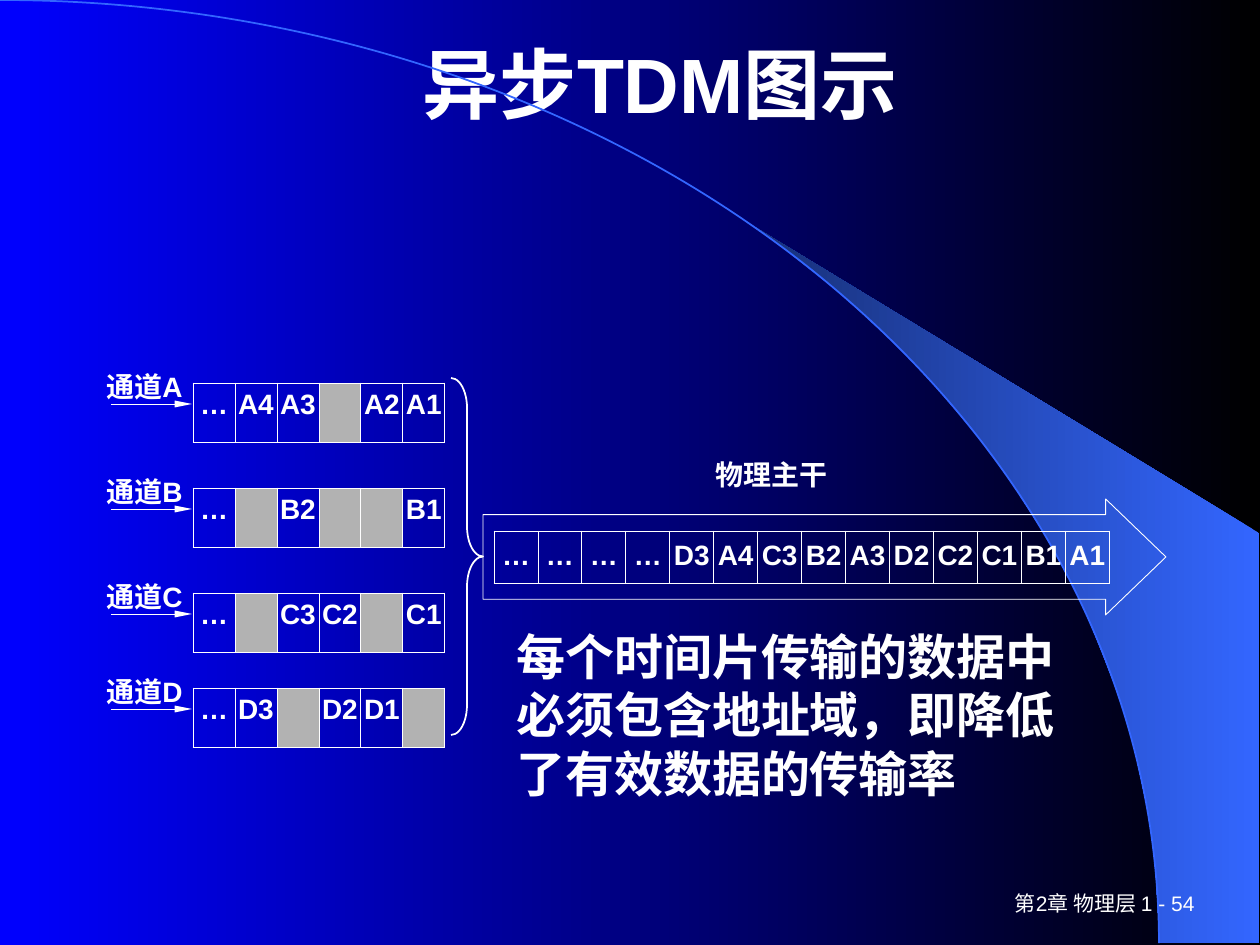
from dataclasses import dataclass
from math import cos, radians, sin
from typing import NamedTuple

from pptx import Presentation
from pptx import util as u
from pptx.dml.color import RGBColor
from pptx.enum import shapes, text
from pptx.oxml import parse_xml
from pptx.oxml.ns import nsdecls

PX = 914400 / 126  # EMU per pixel


@dataclass(frozen=True)
class Theme:
    font: str = "Arial"
    white: str = "FFFFFF"
    gray: str = "B2B2B2"
    black: str = "000000"
    blue: str = "0000FF"
    sweep: str = "3366FF"
    sweep_dark: str = "172F75"
    title: int = 44
    note: int = 28
    label: int = 16
    footer: int = 12
    thin: float = 0.5
    thick: float = 1


class Box(NamedTuple):
    x: int
    y: int
    w: int
    h: int


class Channel(NamedTuple):
    name: str
    y: int
    slots: list[str]


T = Theme()
ALIGN, ANCHOR = text.PP_ALIGN, text.MSO_ANCHOR

CHANNELS = [
    Channel("A", 383, ["…", "A4", "A3", "", "A2", "A1"]),
    Channel("B", 488, ["…", "", "B2", "", "", "B1"]),
    Channel("C", 593, ["…", "", "C3", "C2", "", "C1"]),
    Channel("D", 688, ["…", "D3", "", "D2", "D1", ""]),
]
TRUNK = ["…"] * 4 + "D3 A4 C3 B2 A3 D2 C2 C1 B1 A1".split()


def emu(*lengths: float) -> list[u.Emu]:
    return [u.Emu(round(n * PX)) for n in lengths]


def rgb(color: str) -> RGBColor:
    return RGBColor.from_string(color)


def set_attrs(target, **values) -> None:
    for name, value in values.items():
        setattr(target, name, value)


def paint_gradient(fill, start: str, end: str) -> None:
    fill.gradient()
    fill.gradient_angle = 180
    for stop, color in zip(fill.gradient_stops, (start, end)):
        stop.color.rgb = rgb(color)


def style_line(line, color: str, width: float) -> None:
    line.color.rgb = rgb(color)
    line.width = u.Pt(width)


def write(tf, words: str, size: int, align=ALIGN.LEFT, bold: bool = True, spacing=None) -> None:
    p = tf.paragraphs[0]
    set_attrs(p, alignment=align, line_spacing=spacing)
    r = p.add_run()
    r.text = words
    set_attrs(r.font, name=T.font, size=u.Pt(size), bold=bold)
    r.font.color.rgb = rgb(T.white)


def add_text(s, box: Box, words: str, size: int, align=ALIGN.LEFT,
             bold: bool = True, anchor=ANCHOR.TOP):
    tf = s.shapes.add_textbox(*emu(*box)).text_frame
    set_attrs(tf, word_wrap=True, vertical_anchor=anchor)
    write(tf, words, size, align, bold)
    return tf


def add_outline(s, kind, box: Box, color: str, width: float, adjustments=()) -> None:
    sp = s.shapes.add_shape(kind, *emu(*box))
    sp.shadow.inherit = False
    sp.fill.background()
    style_line(sp.line, color, width)
    for i, value in enumerate(adjustments):
        sp.adjustments[i] = value


def add_arrow(s, x1: int, x2: int, y: int) -> None:
    line = s.shapes.add_connector(shapes.MSO_CONNECTOR.STRAIGHT, *emu(x1, y, x2, y))
    style_line(line.line, T.white, T.thin)
    line.line._get_or_add_ln().append(
        parse_xml(f'<a:tailEnd {nsdecls("a")} type="triangle" w="sm" len="lg"/>'))
    line._element.spPr.append(parse_xml(f'<a:effectLst {nsdecls("a")}/>'))


def add_borders(cell) -> None:
    for side in ("lnL", "lnR", "lnT", "lnB"):
        cell._tc.get_or_add_tcPr().append(parse_xml(
            f'<a:{side} {nsdecls("a")} w="{u.Pt(T.thin)}"><a:solidFill>'
            f'<a:srgbClr val="{T.white}"/></a:solidFill></a:{side}>'))


def add_slots(s, box: Box, slots: list[str], spacing=None) -> None:
    """One row of time slots; an empty slot is gray."""
    table = s.shapes.add_table(1, len(slots), *emu(*box)).table
    set_attrs(table, first_row=False, horz_banding=False)
    for col, cell, words in zip(table.columns, table.rows[0].cells, slots):
        col.width = emu(box.w / len(slots))[0]
        set_attrs(cell, margin_left=u.Inches(0.02), margin_right=u.Inches(0.02))
        add_borders(cell)
        if words:
            cell.fill.background()
            write(cell.text_frame, words, T.label, ALIGN.CENTER, spacing=spacing)
        else:
            cell.fill.solid()
            cell.fill.fore_color.rgb = rgb(T.gray)


def add_backdrop(s) -> None:
    """Gradient, the large quarter ellipse and the wedge that touches it."""
    paint_gradient(s.background.fill, T.black, T.blue)
    rx, ry = 1159, 943
    curve = [(rx * sin(radians(a)), ry * (1 - cos(radians(a)))) for a in range(40, 91, 2)]
    builder = s.shapes.build_freeform(*curve[-1], scale=PX)
    builder.add_line_segments([(1259, 943), (1259, 533), *curve])
    wedge = builder.convert_to_shape()
    wedge.shadow.inherit = False
    paint_gradient(wedge.fill, T.sweep, T.sweep_dark)
    wedge.line.fill.background()
    add_outline(s, shapes.MSO_SHAPE.ARC, Box(-rx, 0, 2 * rx, 2 * ry), T.sweep, T.thick)


def main() -> None:
    prs = Presentation()
    set_attrs(prs, slide_width=u.Inches(10), slide_height=u.Inches(7.5))
    s = prs.slides.add_slide(prs.slide_layouts[5])
    add_backdrop(s)

    # Title and footer
    title = s.shapes.title
    set_attrs(title, **dict(zip(("left", "top", "width", "height"), emu(125, 26, 1071, 113))))
    title.text_frame.vertical_anchor = ANCHOR.MIDDLE
    write(title.text_frame, "异步TDM图示", T.title, ALIGN.CENTER)
    add_text(s, Box(945, 882, 262, 42), "第2章 物理层 1 - 54", T.footer,
             ALIGN.RIGHT, bold=False, anchor=ANCHOR.MIDDLE)

    # Input channels
    for ch in CHANNELS:
        add_text(s, Box(79, ch.y - 20, 116, 53), f"通道{ch.name}", T.label, ALIGN.RIGHT)
        add_arrow(s, 111, 192, ch.y + 21)
        add_slots(s, Box(193, ch.y, 252, 59), ch.slots)

    # Shared trunk
    add_text(s, Box(703, 451, 185, 53), "物理主干", T.label)
    add_slots(s, Box(494, 531, 616, 52), TRUNK, spacing=1.1)
    add_outline(s, shapes.MSO_SHAPE.RIGHT_ARROW, Box(483, 499, 683, 116),
                T.white, T.thin, (0.73, 0.52))
    add_outline(s, shapes.MSO_SHAPE.RIGHT_BRACE, Box(451, 378, 32, 357),
                T.white, T.thick, (0.94, 0.5))

    # Note on the cost of addressing
    note = add_text(s, Box(504, 620, 588, 189),
                    "每个时间片传输的数据中必须包含地址域，即降低了有效数据的传输率", T.note)
    note.auto_size = text.MSO_AUTO_SIZE.SHAPE_TO_FIT_TEXT

    prs.save("out.pptx")


if __name__ == "__main__":
    main()
